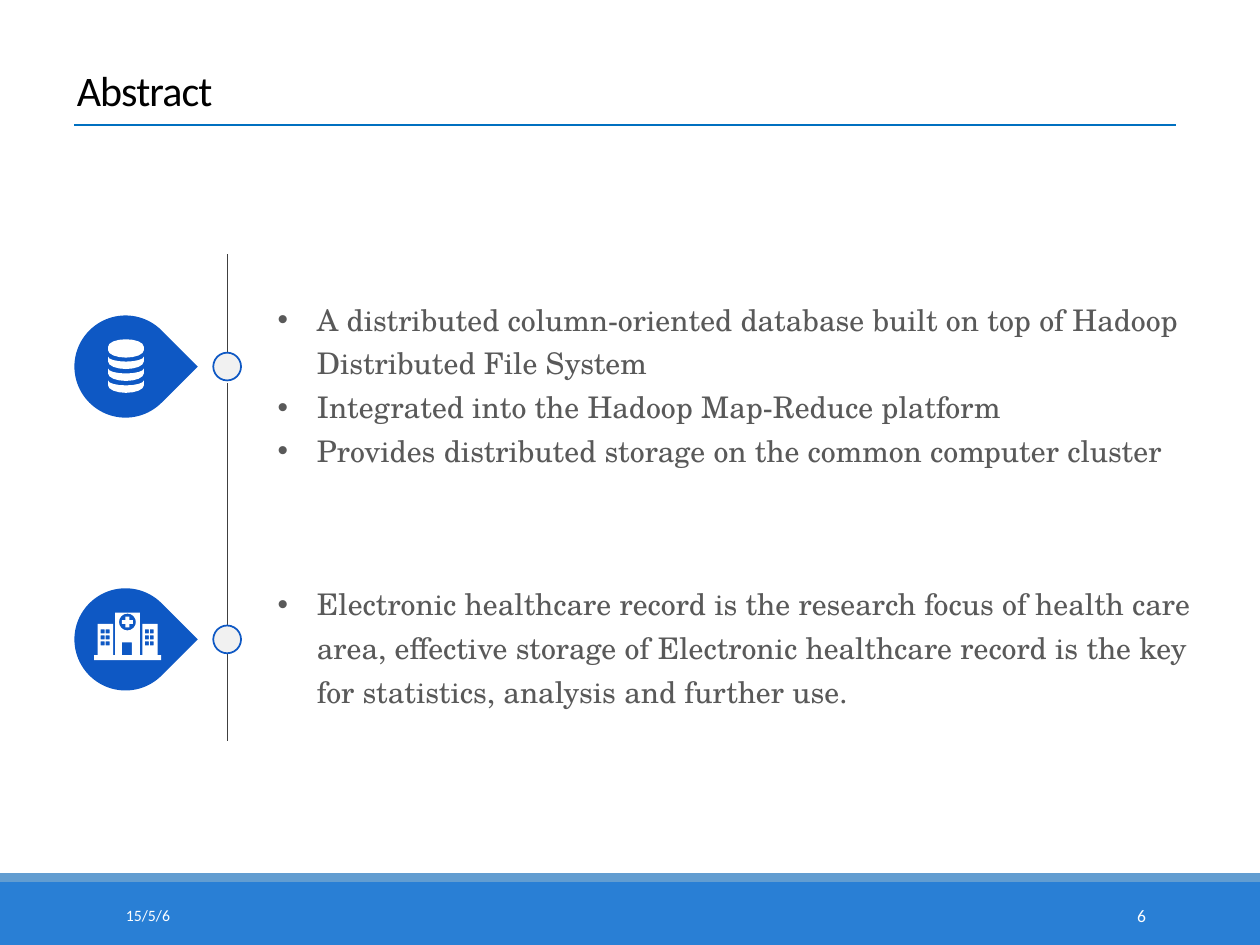
from math import cos, pi, sin

from lxml.etree import SubElement
from pptx import Presentation
from pptx.dml.color import RGBColor
from pptx.enum.shapes import MSO_CONNECTOR, MSO_SHAPE
from pptx.enum.text import MSO_ANCHOR, PP_ALIGN
from pptx.oxml.ns import qn
from pptx.util import Cm, Pt

BLUE, WHITE = "0E58C4", "FFFFFF"
color = RGBColor.from_string

presentation = Presentation()
presentation.slide_width, presentation.slide_height = Cm(25.4), Cm(19.05)
slide = presentation.slides.add_slide(presentation.slide_layouts[6])
shapes = slide.shapes


def paint(shape, fill):
    shape.shadow.inherit = False
    shape.fill.solid()
    shape.fill.fore_color.rgb = color(fill)
    shape.line.fill.background()


def add_text(lines, box, size, font, fill, anchor=MSO_ANCHOR.TOP, bullets=False):
    text_frame = shapes.add_textbox(*[Cm(value) for value in box]).text_frame
    text_frame.word_wrap = True
    text_frame.vertical_anchor = anchor
    text_frame.text = "\n".join(lines)
    for paragraph in text_frame.paragraphs:
        if bullets:
            properties = paragraph._p.get_or_add_pPr()
            properties.set("marL", str(Cm(0.79)))
            properties.set("indent", str(-Cm(0.79)))
            SubElement(properties, qn("a:buFont")).set("typeface", "Arial")
            SubElement(properties, qn("a:buChar")).set("char", "•")
            paragraph.line_spacing = Pt(25)
        for run in paragraph.runs:
            run.font.size = Pt(size)
            run.font.name = font
            run.font.color.rgb = color(fill)
    return text_frame.paragraphs[0]


# Footer bands
for top, height, fill in [(17.78, 1.27, "297FD5"), (17.6, 0.18, "629DD1")]:
    band = shapes.add_shape(MSO_SHAPE.RECTANGLE, 0, Cm(top), Cm(25.4), Cm(height))
    paint(band, fill)

# Title
title = add_text(["Abstract"], (1.3, 0.93, 19.05, 1.52), 24, "Calibri", "000000",
                 MSO_ANCHOR.BOTTOM)
title.line_spacing = 0.85
title.runs[0].font._element.set("spc", "-50")

# Title rule and the three pieces of the timeline
for x1, y1, x2, y2, line_color, width in [
    (1.5, 2.52, 23.7, 2.52, "0070C0", 1.5),
    (4.58, 5.13, 4.58, 7.1, "404040", 0.5),
    (4.58, 7.72, 4.58, 12.6, "404040", 0.5),
    (4.58, 13.16, 4.58, 14.93, "404040", 0.5),
]:
    connector = shapes.add_connector(MSO_CONNECTOR.STRAIGHT, Cm(x1), Cm(y1), Cm(x2), Cm(y2))
    connector.line.color.rgb = color(line_color)
    connector.line.width = Pt(width)
    SubElement(connector._element.spPr, qn("a:effectLst"))

# Teardrop markers and timeline dots
for center in (7.39, 12.89):
    marker = shapes.add_shape(MSO_SHAPE.TEAR, Cm(1.5), Cm(center - 1.03), Cm(2.06), Cm(2.06))
    paint(marker, BLUE)
    marker.rotation = 45
    dot = shapes.add_shape(MSO_SHAPE.OVAL, Cm(4.3), Cm(center - 0.28), Cm(0.56), Cm(0.56))
    paint(dot, "F1F1F1")
    dot.line.color.rgb = color(BLUE)
    dot.line.width = Pt(1)

# Database icon: a lid and three bands, each between two half-ellipse arcs
# (top edge, top bulge, bottom edge, bottom bulge)
layers = [(6.99, -0.15, 7.06, 0.15)]
layers += [(7.19 + 0.24 * row, 0.1, 7.29 + 0.24 * row, 0.15) for row in range(3)]
angles = [pi * step / 8 for step in range(9)]
database = [
    [(2.54 - 0.36 * cos(a), top + top_bulge * sin(a)) for a in angles]
    + [(2.54 + 0.36 * cos(a), bottom + bottom_bulge * sin(a)) for a in angles]
    for top, top_bulge, bottom, bottom_bulge in layers
]

# Hospital icon: base, wings and tower, then door and windows as holes
rectangles = [(1.9, 13.21, 1.35, 0.1), (1.97, 12.58, 0.31, 0.63), (2.87, 12.58, 0.31, 0.63),
              (2.32, 12.35, 0.5, 0.86), (2.46, 12.95, 0.2, 0.26)]
rectangles += [(left, 12.69 + 0.12 * row, 0.08, 0.08)
               for left in (2.03, 2.13, 2.92, 3.02) for row in range(3)]
hospital = [[(x, y), (x + w, y), (x + w, y + h), (x, y + h)] for x, y, w, h in rectangles]
# Round sign as a hole, with a cross inside it
hospital.append([(2.57 + 0.17 * cos(pi * step / 8), 12.54 + 0.17 * sin(pi * step / 8))
                 for step in range(16)])
arm, half = 0.11, 0.04
cross = [(-half, -arm), (half, -arm), (half, -half), (arm, -half), (arm, half), (half, half)]
hospital.append([(2.57 + side * x, 12.54 + side * y) for side in (1, -1) for x, y in cross])

# Each icon is one outline with several contours
for contours in (database, hospital):
    builder = shapes.build_freeform(Cm(contours[0][0][0]), Cm(contours[0][0][1]))
    for contour in contours:
        points = [(Cm(x), Cm(y)) for x, y in contour]
        builder.move_to(*points[0])
        builder.add_line_segments(points[1:], close=True)
    paint(builder.convert_to_shape(), WHITE)

# Body text
for lines, box in [
    (["A distributed column-oriented database built on top of Hadoop Distributed File System",
      "Integrated into the Hadoop Map-Reduce platform",
      "Provides distributed storage on the common computer cluster"],
     (5.35, 5.79, 19.2, 3.81)),
    (["Electronic healthcare record is the research focus of health care area, effective "
      "storage of Electronic healthcare record is the key for statistics, analysis and "
      "further use."],
     (5.35, 11.53, 19.15, 2.87)),
]:
    add_text(lines, box, 17, "TeX Gyre Schola", "595959", bullets=True)

# Date and slide number
add_text(["15/5/6"], (2.29, 17.95, 5.16, 1.02), 9, "Calibri", WHITE, MSO_ANCHOR.MIDDLE)
number = add_text(["6"], (20.61, 17.95, 2.74, 1.02), 10, "Calibri", WHITE, MSO_ANCHOR.MIDDLE)
number.alignment = PP_ALIGN.RIGHT

presentation.save("out.pptx")
